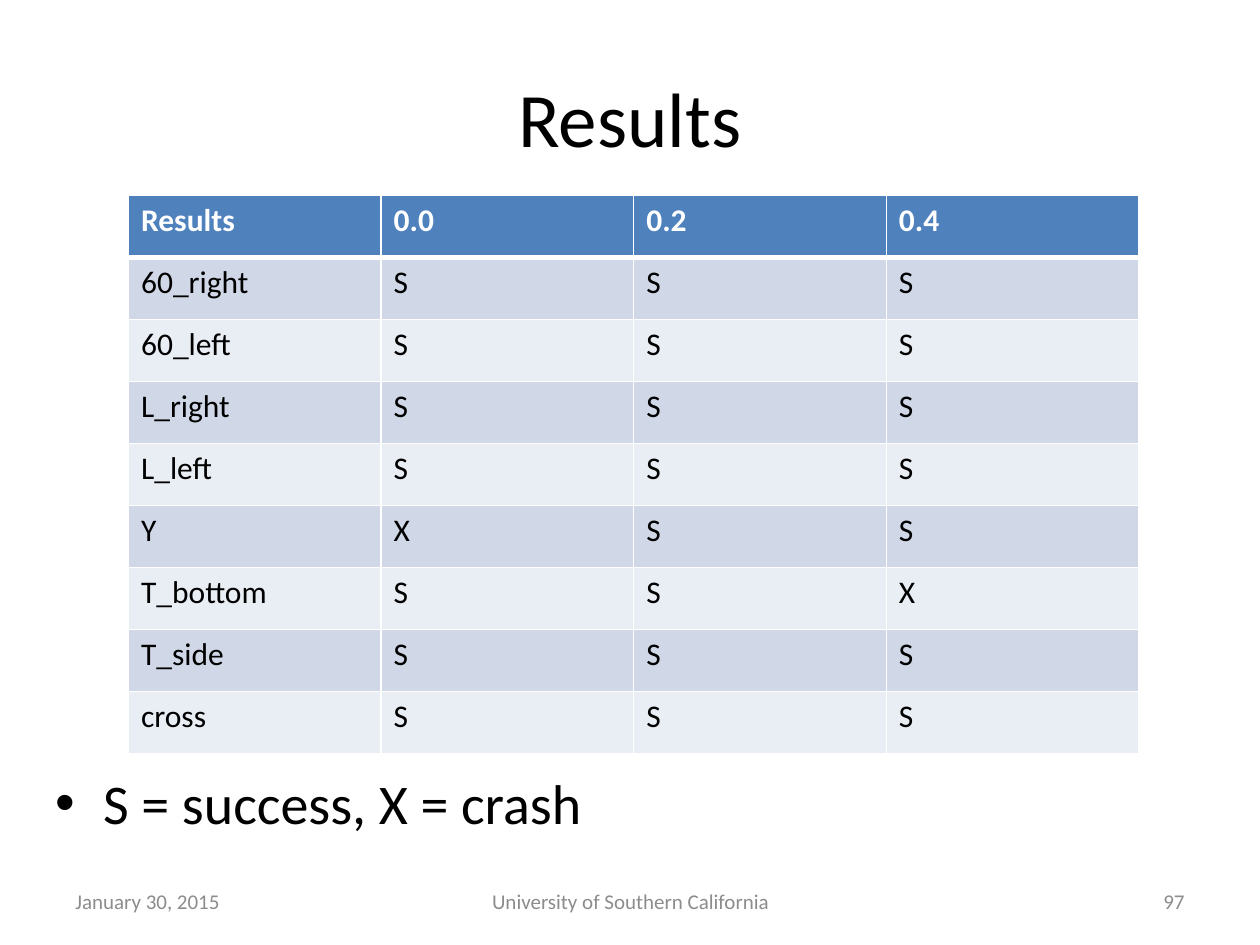
from dataclasses import dataclass

from lxml import etree
from pptx import Presentation
from pptx.dml.color import RGBColor
from pptx.enum.text import MSO_ANCHOR, PP_ALIGN
from pptx.oxml.ns import qn
from pptx.util import Inches, Pt

LEFT, CENTER, RIGHT = PP_ALIGN.LEFT, PP_ALIGN.CENTER, PP_ALIGN.RIGHT
TOP, MIDDLE = MSO_ANCHOR.TOP, MSO_ANCHOR.MIDDLE


@dataclass(frozen=True)
class Theme:
    font: str = "Calibri"
    ink: str = "000000"
    paper: str = "FFFFFF"
    muted: str = "8C8C8C"
    header: str = "4F81BD"
    bands: tuple = ("D0D8E8", "E9EDF4")
    title_size: int = 44
    body_size: int = 32
    table_size: int = 18
    footer_size: int = 12
    thin_rule: int = 1
    thick_rule: int = 3


class SlideBuilder:
    def __init__(self, page, theme):
        self.page = page
        self.theme = theme

    def add_span(self, para, text, size, color, bold=False):
        span = para.add_run()
        span.text = text
        values = {"name": self.theme.font, "size": Pt(size), "bold": bold}
        for name, value in values.items():
            setattr(span.font, name, value)
        span.font.color.rgb = RGBColor.from_string(color)

    def text(self, text, area, size, color, align=LEFT, anchor=MIDDLE):
        box = self.page.shapes.add_textbox(*map(Inches, area))
        frame = box.text_frame
        for name, value in {"word_wrap": True, "vertical_anchor": anchor}.items():
            setattr(frame, name, value)
        para = frame.paragraphs[0]
        para.alignment = align
        self.add_span(para, text, size, color)
        return para

    def bullet(self, text, area, hang):
        theme = self.theme
        para = self.text(text, area, theme.body_size, theme.ink, anchor=TOP)
        props = para._p.get_or_add_pPr()
        props.set("marL", str(Inches(hang)))
        props.set("indent", str(Inches(-hang)))
        etree.SubElement(props, qn("a:buFont"), typeface="Arial")
        etree.SubElement(props, qn("a:buChar"), char="•")

    def borders(self, cell, widths):
        props = cell._tc.get_or_add_tcPr()
        for side, width in widths.items():
            line = etree.SubElement(props, qn(f"a:ln{side}"), w=str(Pt(width)))
            fill = etree.SubElement(line, qn("a:solidFill"))
            etree.SubElement(fill, qn("a:srgbClr"), val=self.theme.paper)

    def table(self, rows, area):
        theme = self.theme
        left, top, width, height = map(Inches, area)
        shape = self.page.shapes.add_table(len(rows), len(rows[0]), left, top, width, height)
        for row_index, row in enumerate(rows):
            is_header = row_index == 0
            fill = theme.header if is_header else theme.bands[(row_index - 1) % 2]
            color = theme.paper if is_header else theme.ink
            widths = dict.fromkeys("LRTB", theme.thin_rule)
            if row_index < 2:
                widths["B" if is_header else "T"] = theme.thick_rule
            for column_index, text in enumerate(row):
                cell = shape.table.cell(row_index, column_index)
                self.borders(cell, widths)
                cell.fill.solid()
                cell.fill.fore_color.rgb = RGBColor.from_string(fill)
                para = cell.text_frame.paragraphs[0]
                self.add_span(para, text, theme.table_size, color, is_header)


RESULTS = [
    ("Results", "0.0", "0.2", "0.4"),
    ("60_right", "S", "S", "S"),
    ("60_left", "S", "S", "S"),
    ("L_right", "S", "S", "S"),
    ("L_left", "S", "S", "S"),
    ("Y", "X", "S", "S"),
    ("T_bottom", "S", "S", "X"),
    ("T_side", "S", "S", "S"),
    ("cross", "S", "S", "S"),
]

FOOTERS = [
    ("January 30, 2015", 0.5, 2.33, LEFT),
    ("University of Southern California", 3.42, 3.17, CENTER),
    ("97", 7.17, 2.33, RIGHT),
]


def main():
    deck = Presentation()
    deck.slide_width, deck.slide_height = Inches(10), Inches(7.5)
    theme = Theme()
    builder = SlideBuilder(deck.slides.add_slide(deck.slide_layouts[6]), theme)
    builder.text("Results", (0.5, 0.3, 9, 1.25), theme.title_size, theme.ink, CENTER)
    builder.bullet("S = success, X = crash", (0.34, 6.05, 4.46, 0.64), 0.38)
    for text, left, width, align in FOOTERS:
        builder.text(text, (left, 6.95, width, 0.4), theme.footer_size, theme.muted, align)
    builder.table(RESULTS, (1.02, 1.55, 8.02, 4.43))
    deck.save("out.pptx")


if __name__ == "__main__":
    main()
